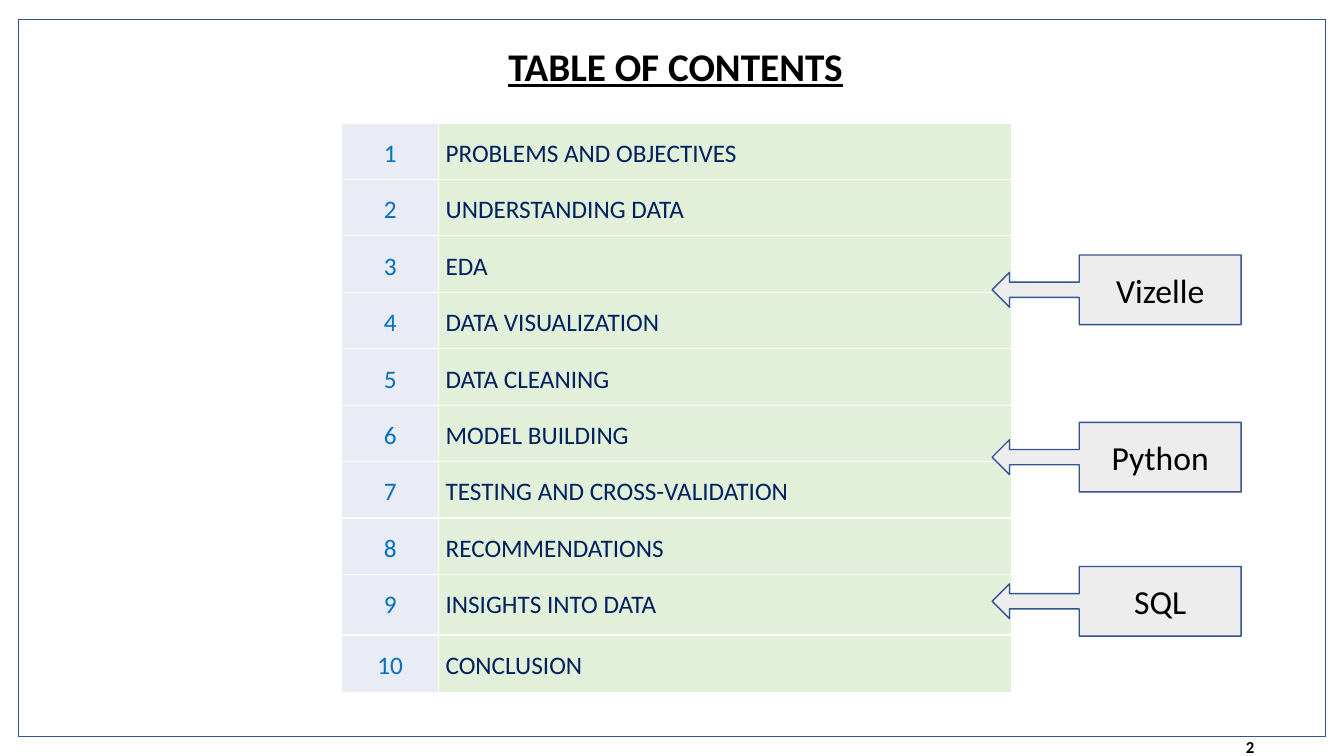
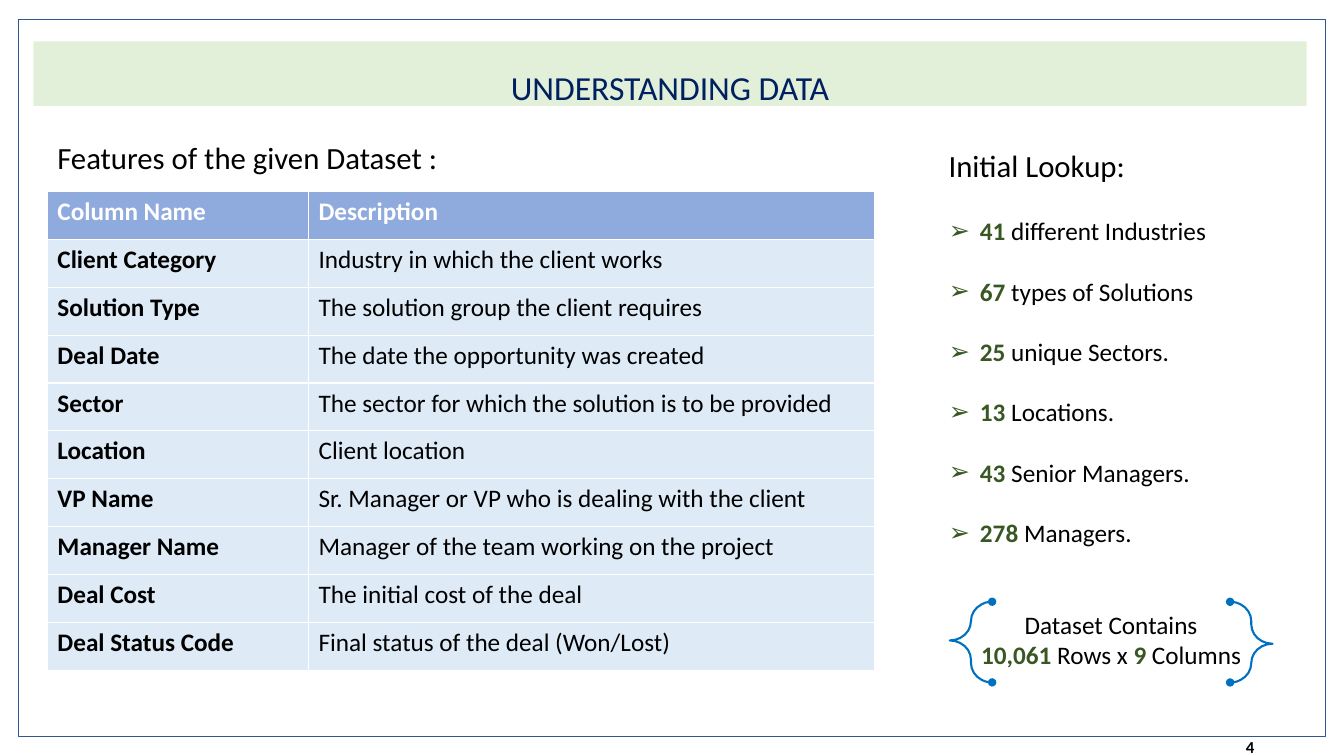
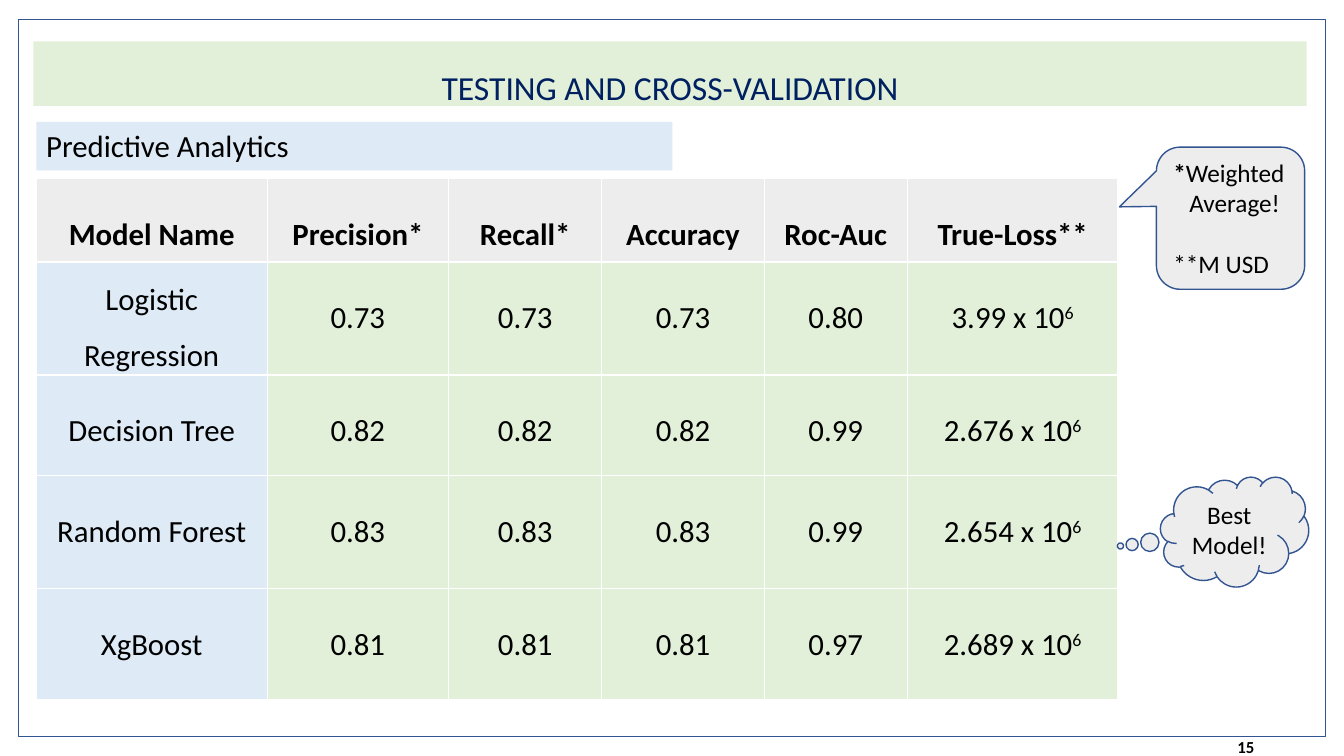
from lxml.etree import SubElement
from pptx import Presentation
from pptx.dml.color import RGBColor
from pptx.enum.shapes import MSO_SHAPE
from pptx.enum.text import MSO_ANCHOR, MSO_AUTO_SIZE, PP_ALIGN
from pptx.oxml.ns import qn
from pptx.util import Inches, Pt

FONT = "Calibri"
BLACK = RGBColor(0x00, 0x00, 0x00)
WHITE = RGBColor(0xFF, 0xFF, 0xFF)
OUTLINE = RGBColor(0x32, 0x54, 0x91)
NAVY = RGBColor(0x00, 0x20, 0x60)
BLUE = RGBColor(0x00, 0x70, 0xC0)
HEADER_BLUE = RGBColor(0x8F, 0xAA, 0xDC)
PALE_BLUE = RGBColor(0xDE, 0xEB, 0xF7)
LAVENDER = RGBColor(0xE9, 0xEB, 0xF5)
PALE_GREEN = RGBColor(0xE2, 0xF0, 0xD9)
DARK_GREEN = RGBColor(0x38, 0x57, 0x23)
GREY = RGBColor(0xED, 0xED, 0xED)


def add_box(page, kind, bounds, lines=(), size=18, fill=None, line=None,
            weight=1, align=PP_ALIGN.LEFT, anchor=MSO_ANCHOR.TOP, bold=False):
    place = [Inches(length) for length in bounds]
    if kind is None:
        box = page.shapes.add_textbox(*place)
    else:
        box = page.shapes.add_shape(kind, *place)
        box.shadow.inherit = False
        if fill is None:
            box.fill.background()
        else:
            box.fill.solid()
            box.fill.fore_color.rgb = fill
        if line is None:
            box.line.fill.background()
        else:
            box.line.color.rgb = line
            box.line.width = Pt(weight)
    frame = box.text_frame
    frame.word_wrap = True
    frame.vertical_anchor = anchor
    frame.text = "\n".join(lines)
    for para in frame.paragraphs:
        para.alignment = align
        para.font.name = FONT
        para.font.size = Pt(size)
        para.font.bold = bold
        para.font.color.rgb = BLACK
    return box


def add_grid(page, left, top, widths, heights, rows, size, header=False, tight=True):
    table = page.shapes.add_table(
        len(heights), len(widths), Inches(left), Inches(top),
        Inches(sum(widths)), Inches(sum(heights))).table
    table.first_row = header
    table.horz_banding = False
    for column, width in zip(table.columns, widths):
        column.width = Inches(width)
    for row, height, texts in zip(table.rows, heights, rows):
        row.height = Inches(height)
        for cell, text in zip(row.cells, texts):
            if tight:
                cell.margin_left = cell.margin_right = Inches(0.07)
                cell.margin_top = cell.margin_bottom = 0
            cell.fill.solid()
            para = cell.text_frame.paragraphs[0]
            base, _, power = text.partition("^")
            para.add_run().text = base
            if power:
                span = para.add_run()
                span.text = power
                span._r.get_or_add_rPr().set("baseline", "30000")
            para.font.name = FONT
            para.font.size = Pt(size)
            para.font.color.rgb = BLACK
    return table


deck = Presentation()
deck.slide_width = Inches(13.33)
deck.slide_height = Inches(7.5)

pages = []
for layout, heading, number in [
    (5, "TABLE OF CONTENTS", "2"),
    (1, "UNDERSTANDING DATA", "4"),
    (5, "TESTING AND CROSS-VALIDATION", "15"),
]:
    page = deck.slides.add_slide(deck.slide_layouts[layout])
    pages.append(page)
    add_box(page, MSO_SHAPE.RECTANGLE, (0.18, 0.19, 12.97, 7.12), line=OUTLINE, weight=0.5)
    add_box(page, None, (12.11, 7.21, 0.43, 0.4), [number], size=12, bold=True,
            align=PP_ALIGN.RIGHT, anchor=MSO_ANCHOR.MIDDLE)
    title = page.shapes.title
    title.text = heading
    title.text_frame.auto_size = MSO_AUTO_SIZE.NONE
    para = title.text_frame.paragraphs[0]
    para.alignment = PP_ALIGN.CENTER
    para.font.name = FONT
    if page is pages[0]:
        bounds = (4.9, 0.35, 3.6, 0.61)
        title.text_frame.vertical_anchor = MSO_ANCHOR.MIDDLE
        para.font.size = Pt(28)
        para.font.bold = True
        para.font.underline = True
        para.font.color.rgb = BLACK
    else:
        bounds = (0.33, 0.41, 12.63, 0.64)
        title.fill.solid()
        title.fill.fore_color.rgb = PALE_GREEN
        title.text_frame.vertical_anchor = MSO_ANCHOR.TOP
        para.line_spacing = 1.5
        para.font.size = Pt(24)
        para.font.color.rgb = NAVY
    title.left, title.top, title.width, title.height = [Inches(length) for length in bounds]

contents_page, data_page, testing_page = pages

topics = [
    "PROBLEMS AND OBJECTIVES", "UNDERSTANDING DATA", "EDA", "DATA VISUALIZATION",
    "DATA CLEANING", "MODEL BUILDING", "TESTING AND CROSS-VALIDATION",
    "RECOMMENDATIONS", "INSIGHTS INTO DATA", "CONCLUSION",
]
contents = add_grid(contents_page, 3.39, 1.22, [0.96, 5.68], [0.56] * 8 + [0.6, 0.57],
                    [(str(index), topic) for index, topic in enumerate(topics, 1)], 18)
for row in contents.rows:
    for cell, fill, color, align in zip(row.cells, (LAVENDER, PALE_GREEN), (BLUE, NAVY),
                                        (PP_ALIGN.CENTER, PP_ALIGN.LEFT)):
        cell.fill.fore_color.rgb = fill
        para = cell.text_frame.paragraphs[0]
        para.alignment = align
        para.line_spacing = 1.5
        para.font.color.rgb = color

for tool, top in [("Vizelle", 2.53), ("Python", 4.19), ("SQL", 5.62)]:
    callout = add_box(contents_page, MSO_SHAPE.LEFT_ARROW_CALLOUT, (9.84, top, 2.47, 0.69),
                      [tool], size=24, fill=GREY, line=OUTLINE,
                      align=PP_ALIGN.CENTER, anchor=MSO_ANCHOR.MIDDLE)
    for index, value in enumerate((0.22, 0.25, 0.25, 0.65)):
        callout.adjustments[index] = value

add_box(data_page, None, (0.47, 1.33, 6.61, 0.47), ["Features of the given Dataset :"], size=22)
features = add_grid(data_page, 0.47, 1.9, [2.59, 5.61], [0.475] * 10, [
    ("Column Name", "Description"),
    ("Client Category", "Industry in which the client works"),
    ("Solution Type", "The solution group the client requires"),
    ("Deal Date", "The date the opportunity was created"),
    ("Sector", "The sector for which the solution is to be provided"),
    ("Location", "Client location"),
    ("VP Name", "Sr. Manager or VP who is dealing with the client"),
    ("Manager Name", "Manager of the team working on the project"),
    ("Deal Cost", "The initial cost of the deal"),
    ("Deal Status Code", "Final status of the deal (Won/Lost)"),
], 18, header=True, tight=False)
for row_index, row in enumerate(features.rows):
    for column_index, cell in enumerate(row.cells):
        is_header = row_index == 0
        cell.fill.fore_color.rgb = HEADER_BLUE if is_header else PALE_BLUE
        para = cell.text_frame.paragraphs[0]
        para.font.bold = is_header or column_index == 0
        para.font.color.rgb = WHITE if is_header else BLACK

add_box(data_page, None, (9.31, 1.41, 3.57, 0.47), ["Initial Lookup:"], size=22)
lookup = data_page.placeholders[1]
lookup.left, lookup.top, lookup.width, lookup.height = (
    Inches(9.31), Inches(2.09), Inches(3.57), Inches(3.5))
lookup.text_frame.auto_size = MSO_AUTO_SIZE.NONE
facts = [("41", " different Industries"), ("67", " types of Solutions"),
         ("25", " unique Sectors."), ("13", " Locations."),
         ("43", " Senior Managers."), ("278", " Managers.")]
for index, (count, noun) in enumerate(facts):
    para = lookup.text_frame.paragraphs[0] if index == 0 else lookup.text_frame.add_paragraph()
    properties = para._p.get_or_add_pPr()
    properties.set("marL", str(Inches(0.31)))
    properties.set("indent", str(-Inches(0.31)))
    bullet_color = SubElement(properties, qn("a:buClr"))
    SubElement(bullet_color, qn("a:srgbClr")).set("val", str(DARK_GREEN))
    SubElement(properties, qn("a:buChar")).set("char", "➢")
    para.space_before = Pt(21.5 if index else 0)
    para.font.name = FONT
    para.font.size = Pt(18)
    para.font.color.rgb = BLACK
    span = para.add_run()
    span.text = count
    span.font.bold = True
    span.font.color.rgb = DARK_GREEN
    para.add_run().text = noun

summary = add_box(data_page, None, (9.67, 5.99, 2.7, 0.7), ["Dataset Contains", ""],
                  align=PP_ALIGN.CENTER, anchor=MSO_ANCHOR.MIDDLE)
summary.text_frame.margin_left = summary.text_frame.margin_right = 0
for text, strong in [("10,061", True), (" Rows x ", False), ("9", True), (" Columns", False)]:
    span = summary.text_frame.paragraphs[1].add_run()
    span.text = text
    if strong:
        span.font.bold = True
        span.font.color.rgb = DARK_GREEN

for left, rotation in [(9.42, 0), (12.2, 180)]:
    brace = add_box(data_page, MSO_SHAPE.LEFT_BRACE, (left, 5.97, 0.42, 0.8),
                    line=BLUE, weight=1.5)
    brace.rotation = rotation
    brace.adjustments[0] = 0.46
    brace.adjustments[1] = 0.48
    outline = brace.line._get_or_add_ln()
    for end in ("a:headEnd", "a:tailEnd"):
        SubElement(outline, qn(end)).set("type", "oval")

scores = add_grid(testing_page, 0.36, 1.77, [2.29, 1.8, 1.52, 1.61, 1.42, 2.09],
                  [0.83, 1.12, 1, 1.12, 1.1], [
    ("Model Name", "Precision*", "Recall*", "Accuracy", "Roc-Auc", "True-Loss**"),
    ("Logistic Regression", "0.73", "0.73", "0.73", "0.80", "3.99 x 10^6"),
    ("Decision Tree", "0.82", "0.82", "0.82", "0.99", "2.676 x 10^6"),
    ("Random Forest", "0.83", "0.83", "0.83", "0.99", "2.654 x 10^6"),
    ("XgBoost", "0.81", "0.81", "0.81", "0.97", "2.689 x 10^6"),
], 22)
for row_index, row in enumerate(scores.rows):
    for column_index, cell in enumerate(row.cells):
        para = cell.text_frame.paragraphs[0]
        para.alignment = PP_ALIGN.CENTER
        para.line_spacing = 2.0
        para.font.bold = row_index == 0
        if row_index == 0:
            cell.fill.fore_color.rgb = GREY
        else:
            cell.fill.fore_color.rgb = PALE_GREEN if column_index else PALE_BLUE
scores.cell(1, 0).text_frame.paragraphs[0].line_spacing = 1.5

add_box(testing_page, MSO_SHAPE.RECTANGLE, (0.36, 1.21, 6.31, 0.48),
        ["Predictive Analytics"], size=22, fill=PALE_BLUE)

legend = add_box(testing_page, MSO_SHAPE.ROUNDED_RECTANGULAR_CALLOUT, (11.47, 1.46, 1.47, 1.41),
                 ["", "Average!", "**M USD"], fill=GREY, line=OUTLINE, anchor=MSO_ANCHOR.MIDDLE)
legend.adjustments[0] = -0.75
legend.adjustments[1] = -0.08
weighted, average, currency = legend.text_frame.paragraphs
star = weighted.add_run()
star.text = "*"
star.font.bold = True
weighted.add_run().text = "Weighted"
average._p.get_or_add_pPr().set("marL", str(Inches(0.16)))
currency.space_before = Pt(22)

cloud = add_box(testing_page, MSO_SHAPE.CLOUD_CALLOUT, (11.51, 4.73, 1.47, 1.09),
                ["Best", "Model!"], fill=GREY, line=OUTLINE,
                align=PP_ALIGN.CENTER, anchor=MSO_ANCHOR.MIDDLE)
cloud.adjustments[0] = -0.77
cloud.adjustments[1] = 0.13

deck.save("out.pptx")
